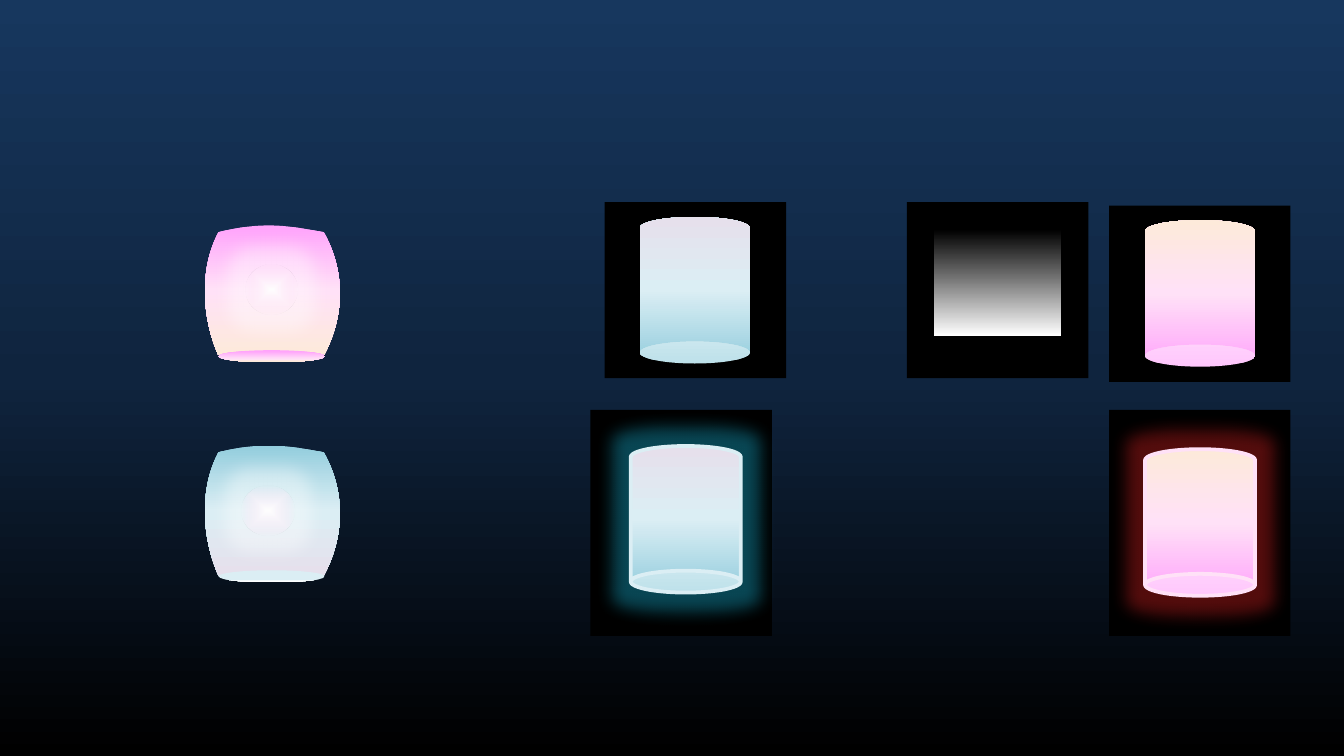
from dataclasses import dataclass

from lxml import etree
from pptx import Presentation
from pptx.dml.color import RGBColor
from pptx.enum import shapes
from pptx.oxml.ns import qn
from pptx.util import Cm, Pt

SHAPE = shapes.MSO_SHAPE


@dataclass(frozen=True)
class Theme:
    night: tuple = ((0, "17375E"), (50, "0F243E"), (100, "000000"))
    pink: tuple = ((0, "FFA3FB"), (50, "FFE1F7"), (100, "FDEADA"))
    blue: tuple = ((0, "93CDDD"), (50, "DBEEF4"), (100, "E6E0EC"))
    pink_base: tuple = ((8, "FFA3FB"), (75, "FFE1F7"), (89, "FDEADA"))
    blue_base: tuple = ((8, "DBEEF4"), (75, "DBEEF4"), (89, "FFFFFF"))
    fade: tuple = ((0, "000000"), (100, "FFFFFF"))
    flare: tuple = ((0, "FFFFFF"), (100, "FFE1F7", 0))
    panel: str = "000000"
    pink_rim: str = "FFE1F7"
    blue_rim: str = "DBEEF4"
    red_glow: str = "D22020"
    teal_glow: str = "17B0D2"
    white_glow: str = "FFFFFF"


THEME = Theme()
PANEL_W, PANEL_H, TALL_PANEL_H = 3.43, 3.33, 4.27
CAN_SIZE = (2.08, 2.77)

# Lantern outline in cm from its top left: start, then cubic segments
LANTERN_SIZE = (2.54, 2.46)
LANTERN_START = (0.25, 0.13)
LANTERN_CURVES = (
    ((1.17, -0.10), (1.65, 0.03), (2.24, 0.13)),
    ((2.67, 0.91), (2.62, 1.75), (2.24, 2.46)),
    ((1.45, 2.41), (1.12, 2.36), (0.25, 2.46)),
    ((-0.05, 1.78), (-0.13, 0.86), LANTERN_START),
)


def add_color(parent, color, alpha=100):
    clr = etree.SubElement(parent, qn("a:srgbClr"), val=color)
    if alpha < 100:
        etree.SubElement(clr, qn("a:alpha"), val=str(alpha * 1000))


def set_gradient(fill, owner, stops, radial=False):
    """Fill with (percent, colour[, alpha]) stops, top down or from the centre."""
    fill.gradient()
    grad = owner.find(".//" + qn("a:gradFill"))
    for child in list(grad):
        grad.remove(child)
    stop_list = etree.SubElement(grad, qn("a:gsLst"))
    for position, *color in stops:
        stop = etree.SubElement(stop_list, qn("a:gs"), pos=str(position * 1000))
        add_color(stop, *color)
    if radial:
        shade = etree.SubElement(grad, qn("a:path"))
        shade.set("path", "shape")
        etree.SubElement(shade, qn("a:fillToRect"),
                         l="50000", t="50000", r="50000", b="50000")
    else:
        etree.SubElement(grad, qn("a:lin"), ang="5400000", scaled="0")


def set_glow(sp, color):
    effects = sp._element.spPr.find(qn("a:effectLst"))
    glow = etree.SubElement(effects, qn("a:glow"), rad=str(Pt(18)))
    add_color(glow, color, 40)


def clean(sp):
    sp.shadow.inherit = False
    sp.line.fill.background()
    return sp


def add_preset(s, kind, x, y, w, h):
    return clean(s.shapes.add_shape(kind, Cm(x), Cm(y), Cm(w), Cm(h)))


def add_panel(s, x, y, h):
    sp = add_preset(s, SHAPE.RECTANGLE, x, y, PANEL_W, h)
    sp.fill.solid()
    sp.fill.fore_color.rgb = RGBColor.from_string(THEME.panel)


def add_shaded(s, kind, x, y, w, h, stops, radial=False):
    sp = add_preset(s, kind, x, y, w, h)
    set_gradient(sp.fill, sp._element, stops, radial)
    return sp


def add_can(s, x, y, stops, rim=None, glow=None):
    sp = add_shaded(s, SHAPE.CAN, x, y, *CAN_SIZE, stops)
    sp.rotation = 180
    sp.adjustments[0] = 0.199
    if rim:
        sp.line.color.rgb = RGBColor.from_string(rim)
        sp.line.width = Pt(2)
    if glow:
        set_glow(sp, glow)


def set_curves(sp, start, curves):
    """Replace a freeform's outline with one closed chain of cubic curves."""
    outline = sp._element.find(".//" + qn("a:pathLst") + "/" + qn("a:path"))
    for child in list(outline):
        outline.remove(child)
    for tag, points in [("a:moveTo", [start])] + [("a:cubicBezTo", c) for c in curves]:
        segment = etree.SubElement(outline, qn(tag))
        for x, y in points:
            etree.SubElement(segment, qn("a:pt"), x=str(Cm(x)), y=str(Cm(y)))
    etree.SubElement(outline, qn("a:close"))


def add_lantern(s, x, y, stops, base_stops, flare_dx, flare_dy):
    w, h = LANTERN_SIZE
    builder = s.shapes.build_freeform(Cm(x), Cm(y))
    corners = ((x + w, y), (x + w, y + h), (x, y + h))
    builder.add_line_segments([(Cm(cx), Cm(cy)) for cx, cy in corners])
    body = clean(builder.convert_to_shape())
    set_curves(body, LANTERN_START, LANTERN_CURVES)
    set_gradient(body.fill, body._element, stops)
    add_shaded(s, SHAPE.OVAL, x + 0.25, y + 2.36, 2.01, 0.23, base_stops)
    flare = add_shaded(s, SHAPE.OVAL, x + flare_dx, y + flare_dy, 0.99, 0.94,
                       THEME.flare, radial=True)
    set_glow(flare, THEME.white_glow)


def main():
    prs = Presentation()
    prs.slide_width, prs.slide_height = Cm(25.4), Cm(14.29)
    s = prs.slides.add_slide(prs.slide_layouts[6])
    set_gradient(s.background.fill, s._element, THEME.night)

    add_panel(s, 20.96, 3.89, PANEL_H)
    add_can(s, 21.64, 4.16, THEME.pink)
    add_panel(s, 11.43, 3.82, PANEL_H)
    add_can(s, 12.09, 4.10, THEME.blue)
    add_panel(s, 17.14, 3.82, PANEL_H)
    add_shaded(s, SHAPE.RECTANGLE, 17.65, 4.34, 2.41, 2.01, THEME.fade)

    add_panel(s, 20.96, 7.75, TALL_PANEL_H)
    add_can(s, 21.64, 8.49, THEME.pink, THEME.pink_rim, THEME.red_glow)
    add_panel(s, 11.16, 7.75, TALL_PANEL_H)
    add_can(s, 11.92, 8.43, THEME.blue, THEME.blue_rim, THEME.teal_glow)

    add_lantern(s, 3.88, 4.26, THEME.pink, THEME.pink_base, 0.76, 0.74)
    add_lantern(s, 3.88, 8.42, THEME.blue, THEME.blue_base, 0.69, 0.76)
    prs.save("out.pptx")


if __name__ == "__main__":
    main()
